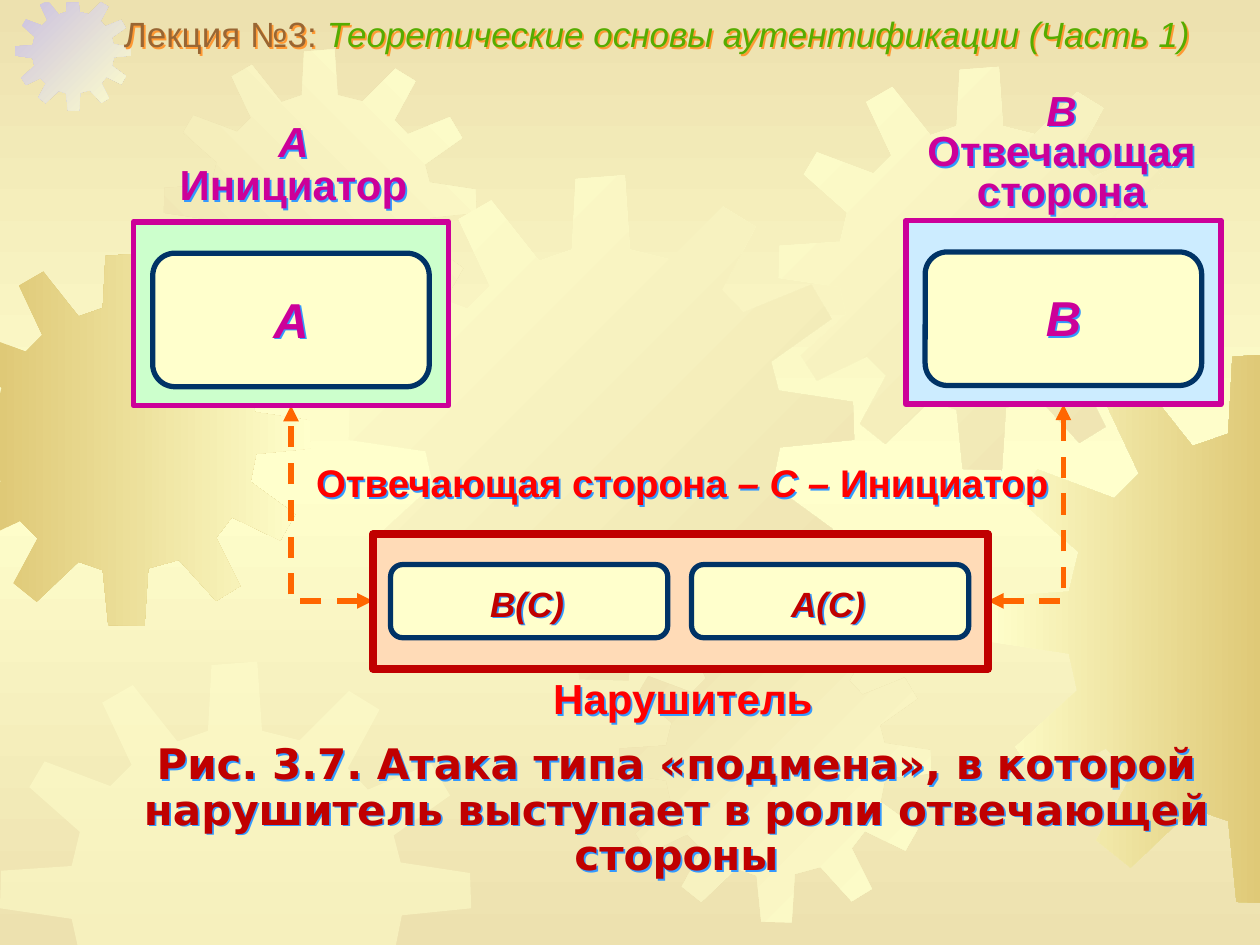
from dataclasses import dataclass

from lxml import etree
from pptx import Presentation
from pptx.dml.color import RGBColor
from pptx.enum import dml, shapes, text
from pptx.oxml import ns
from pptx.util import Pt


@dataclass(frozen=True)
class Theme:
    """Colours, fonts and type sizes of the slide."""
    sand: str = "EDE1AF"
    cream: str = "FFFFCC"
    gold: str = "DFC977"
    lilac: str = "CAC0E2"
    brown: str = "996633"
    lime: str = "56AC00"
    pink: str = "CC0099"
    navy: str = "003366"
    red: str = "FF0000"
    wine: str = "C00000"
    flame: str = "FF6600"
    mint: str = "CCFFCC"
    sky: str = "CCECFF"
    peach: str = "FFDBB7"
    blue: str = "3399FF"
    amber: str = "FF9933"
    font: str = "Arial"
    wide: str = "DejaVu Sans"
    small: int = 20
    mid: int = 22
    label: int = 24
    big: int = 28


T = Theme()
WIDE, HIGH = 720, 540
COG = [
    (255, 67), (223, 59), (219, 0), (180, 3), (177, 59), (151, 68), (113, 20), (87, 35),
    (112, 88), (94, 106), (38, 85), (25, 107), (68, 145), (61, 174), (1, 178), (0, 210),
    (61, 219), (67, 246), (22, 287), (38, 312), (88, 288), (107, 307), (81, 355), (106, 375),
    (151, 332), (177, 341), (183, 400), (222, 401), (226, 339), (259, 330), (299, 374), (325, 358),
    (299, 306), (316, 284), (368, 309), (384, 281), (336, 246), (342, 216), (401, 210), (400, 180),
    (341, 171), (335, 148), (383, 114), (367, 87), (313, 109), (296, 91), (323, 41), (297, 25)]
GEARS = [
    (-35.3, 144.7, 213, (T.gold, T.cream), 0),
    (8.6, -2.9, 66.2, (T.lilac, T.cream), 45),
    (93.6, 28.1, 178.6, (T.sand, T.cream), 315),
    (199.4, 100.1, 288.7, (T.cream, T.sand), 45),
    (0, 378, 269.3, (T.cream,), 0),
    (353.5, 348.5, 178.6, (T.sand, T.cream), 45),
    (445, 38.2, 230.4, (T.cream, T.sand), 45),
    (563, 201.6, 314.6, (T.cream, T.gold), 0)]


def rgb(code):
    """Turn a hex code into a colour."""
    return RGBColor.from_string(code)


def sub(node, tag, **attrs):
    """Add a child element with attributes."""
    kid = etree.SubElement(node, ns.qn(tag))
    for key, val in attrs.items():
        kid.set(key, str(val))
    return kid


def blend(fill, root, cols, angle):
    """Give a fill evenly spaced gradient stops."""
    fill.gradient()
    fill.gradient_angle = -angle % 360
    stops = root.find(".//" + ns.qn("a:gsLst"))
    for old in list(stops):
        stops.remove(old)
    for i, col in enumerate(cols):
        stop = sub(stops, "a:gs", pos=100000 * i // (len(cols) - 1))
        sub(stop, "a:srgbClr", val=col)


def trim(pts, axis, edge, sign):
    """Cut a polygon along one straight edge."""
    out = []
    for a, b in zip(pts, pts[1:] + pts[:1]):
        da, db = sign * (a[axis] - edge), sign * (b[axis] - edge)
        if da >= 0:
            out.append(a)
        if da * db < 0:
            out.append(tuple(p + (q - p) * da / (da - db) for p, q in zip(a, b)))
    return out


def gear(slide, x, y, size, cols, angle):
    """Draw one gear, cut at the slide edges."""
    pts = [(x + a * size / 401, y + b * size / 401) for a, b in COG]
    for cut in ((0, 0, 1), (0, WIDE, -1), (1, 1.5, 1), (1, HIGH, -1)):
        pts = trim(pts, *cut)
    pts = [(Pt(a), Pt(b)) for a, b in pts]
    pen = slide.shapes.build_freeform(*pts[0], scale=1.0)
    pen.add_line_segments(pts[1:], close=True)
    shape = pen.convert_to_shape()
    shape.shadow.inherit = False
    if len(cols) > 1:
        blend(shape.fill, shape.element, cols, angle)
    else:
        shape.fill.solid()
        shape.fill.fore_color.rgb = rgb(cols[0])
        sub(shape.element.spPr.find(".//" + ns.qn("a:srgbClr")), "a:alpha", val=50000)
    shape.line.fill.background()


def block(slide, kind, box, fill, line, width):
    """Draw a filled and outlined shape."""
    shape = slide.shapes.add_shape(kind, *map(Pt, box))
    shape.shadow.inherit = False
    shape.fill.solid()
    shape.fill.fore_color.rgb = rgb(fill)
    shape.line.color.rgb = rgb(line)
    shape.line.width = Pt(width)


def write(slide, box, paras, size, color, shape=None, font=T.font, bold=True, italic=False,
          align=text.PP_ALIGN.CENTER, anchor=text.MSO_ANCHOR.TOP, space=1.0, shade=T.blue):
    """Set paragraphs of (text, overrides) runs, with a cast shadow."""
    shape = shape or slide.shapes.add_textbox(0, 0, 0, 0)
    shape.left, shape.top, shape.width, shape.height = map(Pt, box)
    cast = sub(sub(shape.element.spPr, "a:effectLst"), "a:outerShdw", dist=17961, dir=2700000)
    sub(cast, "a:srgbClr", val=shade)
    frame = shape.text_frame
    frame.word_wrap = True
    frame.auto_size = text.MSO_AUTO_SIZE.NONE
    frame.vertical_anchor = anchor
    frame.margin_left = frame.margin_top = frame.margin_right = frame.margin_bottom = 0
    for i, runs in enumerate(paras):
        para = frame.add_paragraph() if i else frame.paragraphs[0]
        para.alignment = align
        para.line_spacing = space
        para.space_before = Pt(0)
        for words, over in runs:
            run = para.add_run()
            run.text = words
            run.font.name = font
            run.font.size = Pt(size)
            run.font.bold = bold
            run.font.italic = over.get("italic", italic)
            run.font.color.rgb = rgb(over.get("color", color))


def head(slide, box):
    """Fill the lecture heading."""
    title = slide.shapes.title
    slide.shapes.element.append(title.element)
    runs = [("Лекция №3: ", {}),
            ("Теоретические основы аутентификации (Часть 1)", {"color": T.lime, "italic": True})]
    write(slide, box, [runs], T.small, T.brown, shape=title, bold=False, space=0.9,
          align=text.PP_ALIGN.LEFT, anchor=text.MSO_ANCHOR.MIDDLE, shade=T.amber)


def side(slide, box, fill, name, role, tag, space, anchor):
    """Draw one honest party with its label."""
    x, y, w, h = box
    write(slide, tag, [[(name, {"italic": True})], [(role, {})]], T.label, T.pink,
          space=space, anchor=anchor)
    block(slide, shapes.MSO_SHAPE.RECTANGLE, box, fill, T.pink, 3.25)
    block(slide, shapes.MSO_SHAPE.ROUNDED_RECTANGLE, (x + 11, y + 18, w - 22, 76.3),
          T.cream, T.navy, 3)
    write(slide, (x + 11, y + 38.5, w - 22, 34), [[(name, {})]], T.big, T.pink, italic=True)


def foe(slide, box):
    """Draw the intruder with both of its roles."""
    x, y, w, h = box
    block(slide, shapes.MSO_SHAPE.RECTANGLE, box, T.peach, T.wine, 4.5)
    for i, name in enumerate(("В(С)", "А(С)")):
        left = x + 10.1 + 172 * i
        block(slide, shapes.MSO_SHAPE.ROUNDED_RECTANGLE, (left, y + 17.3, 158.4, 41.8),
              T.cream, T.navy, 3)
        write(slide, (left, y + 27.4, 156, 24.5), [[(name, {})]], T.small, T.wine, italic=True)
    runs = [("Отвечающая сторона ", {}), ("– С – ", {"italic": True}), ("Инициатор", {})]
    write(slide, (x - 56.1, y - 38.9, 465.8, 22.3), [runs], T.mid, T.red, space=0.85)
    write(slide, (x + 38.2, y + 83.5, 277.9, 24.5), [[("Нарушитель", {})]], T.label, T.red,
          space=0.85)


def link(slide, start, end):
    """Draw a dashed elbow with arrowheads at both ends."""
    wire = slide.shapes.add_connector(shapes.MSO_CONNECTOR.ELBOW, *map(Pt, start + end))
    props = wire.element.spPr
    props.find(ns.qn("a:prstGeom")).set("prst", "bentConnector2")
    wire.line.color.rgb = rgb(T.flame)
    wire.line.width = Pt(3)
    wire.line.dash_style = dml.MSO_LINE.DASH
    for tip in ("a:headEnd", "a:tailEnd"):
        sub(props.find(ns.qn("a:ln")), tip, type="triangle")
    sub(props, "a:effectLst")


def main():
    """Build and save the slide."""
    deck = Presentation()
    deck.slide_width, deck.slide_height = Pt(WIDE), Pt(HIGH)
    slide = deck.slides.add_slide(deck.slide_layouts[5])
    blend(slide.background.fill, slide.element, (T.sand, T.cream, T.sand), 90)
    for item in GEARS:
        gear(slide, *item)
    head(slide, (70.8, 9.4, 649, 22.3))
    write(slide, (69.8, 424.1, 633.6, 78.5),
          [[("Рис. 3.7. Атака типа «подмена», в которой нарушитель выступает "
             "в роли отвечающей стороны", {})]],
          T.label, T.wine, font=T.wide, space=Pt(26), anchor=text.MSO_ANCHOR.MIDDLE)
    link(slide, (564.5, 343.4), (607.7, 231.1))
    link(slide, (213.1, 343.4), (166.3, 231.8))
    side(slide, (76.3, 126.7, 180, 105.1), T.mint, "А", "Инициатор",
         (76.3, 70.6, 182.9, 49.7), 0.85, text.MSO_ANCHOR.TOP)
    side(slide, (517.7, 126, 180, 105.1), T.sky, "В", "Отвечающая сторона",
         (514.1, 53.3, 185, 69.8), 0.8, text.MSO_ANCHOR.MIDDLE)
    foe(slide, (213.1, 305.3, 351.4, 77))
    deck.save("out.pptx")


if __name__ == "__main__":
    main()
